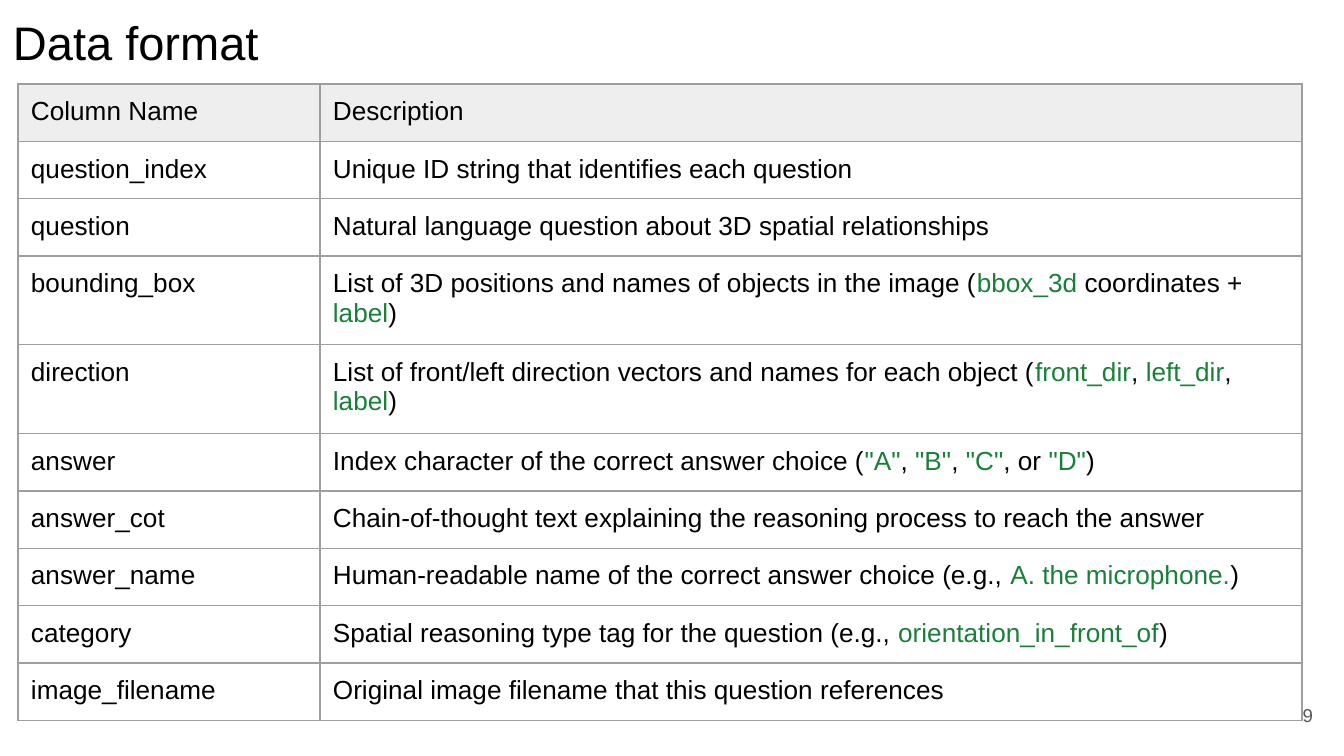
import lxml.etree
import pptx
import pptx.dml.color
import pptx.enum.text
import pptx.oxml.ns
import pptx.util

EMU_PER_PX = 914400 / 134.4
FONT = "Arial"
BLACK, GRAY, CODE_GREEN = "000000", "595959", "188038"
HEADER_FILL, GRID = "EEEEEE", "9E9E9E"
PADDING = 13
ROW_HEIGHT, TALL_ROW_HEIGHT = 56, 86
NAME_WIDTH = 302

# Backticks enclose the values shown in green
FIELDS = [
    ("Column Name", "Description"),
    ("question_index", "Unique ID string that identifies each question"),
    ("question", "Natural language question about 3D spatial relationships"),
    ("bounding_box", "List of 3D positions and names of objects in the image "
                     "(`bbox_3d` coordinates + `label`)"),
    ("direction", "List of front/left direction vectors and names for each object "
                  "(`front_dir`, `left_dir`, `label`)"),
    ("answer", 'Index character of the correct answer choice (`"A"`, `"B"`, `"C"`, or `"D"`)'),
    ("answer_cot", "Chain-of-thought text explaining the reasoning process to reach the answer"),
    ("answer_name", "Human-readable name of the correct answer choice (e.g., `A. the microphone.`)"),
    ("category", "Spatial reasoning type tag for the question (e.g., `orientation_in_front_of`)"),
    ("image_filename", "Original image filename that this question references"),
]
TWO_LINE_FIELDS = ("bounding_box", "direction")


def px(length):
    return pptx.util.Emu(round(length * EMU_PER_PX))


def color(hex_code):
    return pptx.dml.color.RGBColor.from_string(hex_code)


def set_padding(holder):
    holder.margin_left = holder.margin_right = px(PADDING)
    holder.margin_top = holder.margin_bottom = px(PADDING)


def write(paragraph, text, size, text_color=BLACK):
    for index, part in enumerate(text.split("`")):
        if part:
            run = paragraph.add_run()
            run.text = part
            run.font.name = FONT
            run.font.size = pptx.util.Pt(size)
            run.font.color.rgb = color(CODE_GREEN if index % 2 else text_color)


def add_label(slide, box, text, size, text_color, align, anchor):
    frame = slide.shapes.add_textbox(*map(px, box)).text_frame
    frame.word_wrap = True
    frame.vertical_anchor = anchor
    set_padding(frame)
    frame.paragraphs[0].alignment = align
    write(frame.paragraphs[0], text, size, text_color)


def add_borders(cell):
    properties = cell._tc.get_or_add_tcPr()
    qn = pptx.oxml.ns.qn
    for side in ("a:lnL", "a:lnR", "a:lnT", "a:lnB"):
        line = lxml.etree.SubElement(properties, qn(side), w=str(pptx.util.Pt(0.75)))
        fill = lxml.etree.SubElement(line, qn("a:solidFill"))
        lxml.etree.SubElement(fill, qn("a:srgbClr"), val=GRID)


def add_field_table(slide, box):
    table = slide.shapes.add_table(len(FIELDS), 2, *map(px, box)).table
    table.first_row = table.horz_banding = False
    table.columns[0].width = px(NAME_WIDTH)
    table.columns[1].width = px(box[2] - NAME_WIDTH)
    for row_index, field in enumerate(FIELDS):
        tall = field[0] in TWO_LINE_FIELDS
        table.rows[row_index].height = px(TALL_ROW_HEIGHT if tall else ROW_HEIGHT)
        for column_index, text in enumerate(field):
            cell = table.cell(row_index, column_index)
            set_padding(cell)
            add_borders(cell)
            if row_index == 0:
                cell.fill.solid()
                cell.fill.fore_color.rgb = color(HEADER_FILL)
            else:
                cell.fill.background()
            write(cell.text_frame.paragraphs[0], text, 14)


def main():
    deck = pptx.Presentation()
    deck.slide_width, deck.slide_height = px(1344), px(756)
    slide = deck.slides.add_slide(deck.slide_layouts[6])
    align, anchor = pptx.enum.text.PP_ALIGN, pptx.enum.text.MSO_ANCHOR

    # Title
    add_label(slide, (0, 0, 1253, 84), "Data format", 25.2, BLACK, align.LEFT, anchor.TOP)
    # Page number
    add_label(slide, (1246, 686, 80, 58), "9", 10, GRAY, align.RIGHT, anchor.MIDDLE)
    # Field descriptions
    add_field_table(slide, (18, 84, 1284, 620))

    deck.save("out.pptx")


if __name__ == "__main__":
    main()
